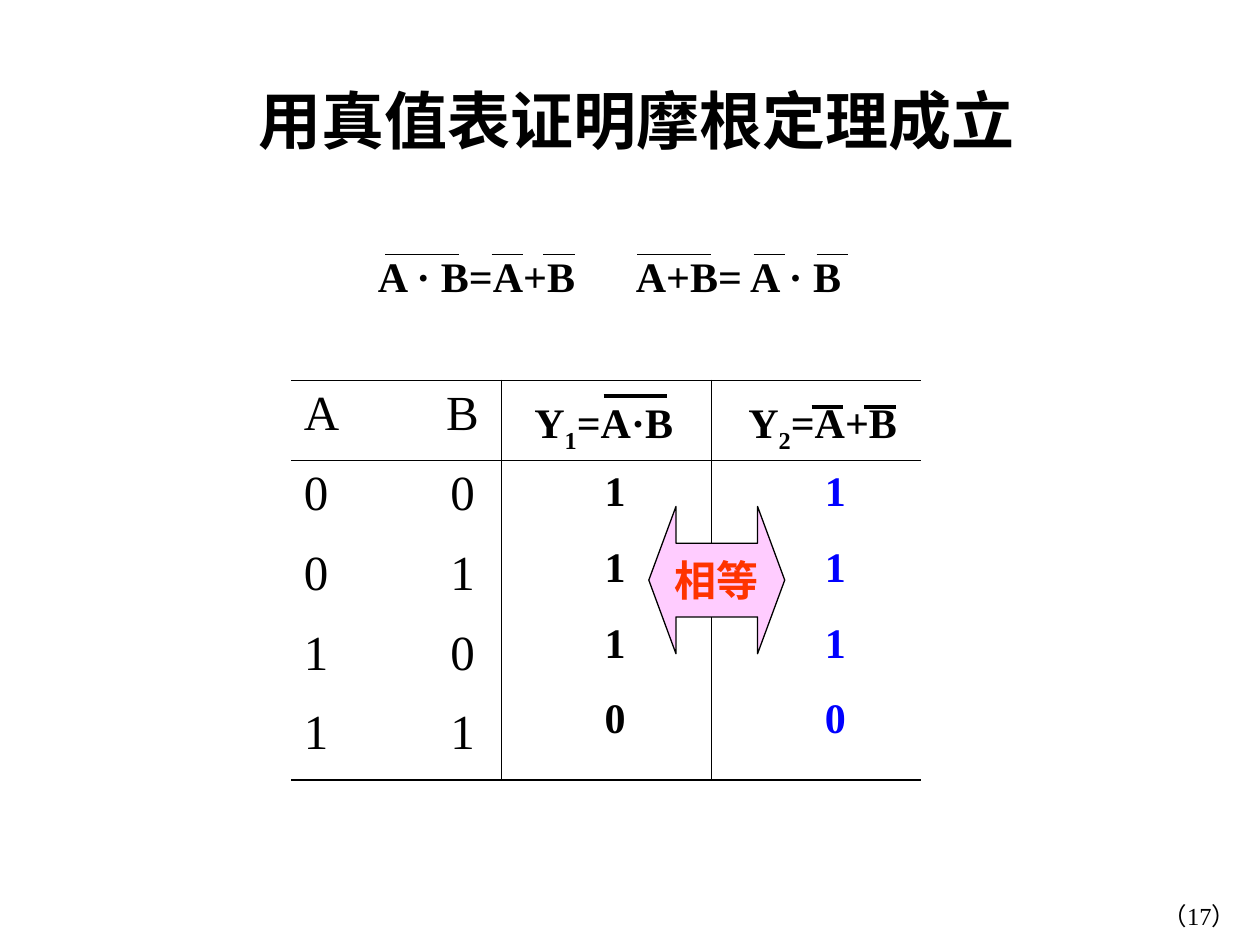
from dataclasses import dataclass

from lxml.etree import SubElement
from pptx import Presentation
from pptx.dml.color import RGBColor as Rgb
from pptx.enum.shapes import MSO_CONNECTOR as Link, MSO_SHAPE as Form
from pptx.enum.text import MSO_ANCHOR as Anchor, MSO_AUTO_SIZE as Fit, PP_ALIGN as Align
from pptx.oxml.ns import qn
from pptx.util import Cm, Pt


@dataclass(frozen=True)
class Theme:
    font: str = "Times New Roman"
    ink: str = "000000"
    blue: str = "0000FF"
    red: str = "FF3300"
    pink: str = "FFCCFF"
    head: int = 36
    cell: int = 28
    body: int = 24
    foot: int = 14
    thin: float = 0.45
    thick: float = 1.08


@dataclass(frozen=True)
class Label:
    box: tuple
    lines: list
    size: int = 24
    color: str = "000000"
    bold: bool = True
    align: Align = Align.CENTER
    space: float = 1.0
    wrap: bool = False
    tab: float = 0


@dataclass(frozen=True)
class Bar:
    left: float
    top: float
    width: float
    weight: float


LOOK = Theme()


def apply(item, form: dict) -> None:
    for name, value in form.items():
        setattr(item, name, value)


def add_tab(para, place: float, kind: str) -> None:
    stops = SubElement(para._p.get_or_add_pPr(), qn("a:tabLst"))
    SubElement(stops, qn("a:tab"), pos=str(Cm(place)), algn=kind)


def add_run(para, text: str, size: int, color: str, bold: bool, shift: int = 0) -> None:
    run = para.add_run()
    run.text = text
    apply(run.font, {"name": LOOK.font, "size": Pt(size), "bold": bold})
    run.font.color.rgb = Rgb.from_string(color)
    if shift:
        run._r.get_or_add_rPr().set("baseline", str(shift))


def write(frame, label: Label) -> None:
    for i, line in enumerate(label.lines):
        para = frame.add_paragraph() if i else frame.paragraphs[0]
        apply(para, {"alignment": label.align, "line_spacing": label.space})
        if label.tab:
            add_tab(para, label.tab, "l")
        for text, shift in line:
            add_run(para, text, label.size, label.color, label.bold, shift)


def add_label(slide, label: Label) -> None:
    frame = slide.shapes.add_textbox(*map(Cm, label.box)).text_frame
    apply(frame, {"word_wrap": label.wrap, "auto_size": Fit.SHAPE_TO_FIT_TEXT})
    write(frame, label)


def add_bar(slide, bar: Bar) -> None:
    ends = (bar.left, bar.top, bar.left + bar.width, bar.top)
    line = slide.shapes.add_connector(Link.STRAIGHT, *map(Cm, ends))
    line.line.width = Pt(bar.weight)
    line.line.color.rgb = Rgb.from_string(LOOK.ink)
    SubElement(line._element.spPr, qn("a:effectLst"))


def add_edge(cell, side: str, weight: float) -> None:
    edge = SubElement(cell._tc.get_or_add_tcPr(), qn(f"a:ln{side}"), w=str(Pt(weight)))
    if weight:
        fill = SubElement(edge, qn("a:solidFill"))
        SubElement(fill, qn("a:srgbClr"), val=LOOK.ink)
    else:
        SubElement(edge, qn("a:noFill"))


def add_grid(slide, pairs: list) -> None:
    count, wide, high = len(pairs), 4.23, 1.61
    area = (5.87, 7.67, wide * 3, high * count)
    grid = slide.shapes.add_table(count, 3, *map(Cm, area)).table
    apply(grid, {"first_row": False, "horz_banding": False})
    for col in grid.columns:
        col.width = Cm(wide)
    rules = [LOOK.thick, LOOK.thin] + [0] * (count - 2) + [LOOK.thick]
    for r, pair in enumerate(pairs):
        grid.rows[r].height = Cm(high)
        for c in range(3):
            cell = grid.cell(r, c)
            sides = {
                "L": LOOK.thin if c else 0,
                "R": LOOK.thin if c < 2 else 0,
                "T": rules[r],
                "B": rules[r + 1],
            }
            for side, weight in sides.items():
                add_edge(cell, side, weight)
            cell.fill.background()
        para = grid.cell(r, 0).text_frame.paragraphs[0]
        add_tab(para, 3.2, "ctr")
        add_run(para, "\t".join(pair), LOOK.cell, LOOK.ink, False)


def add_arrow(slide) -> None:
    box = (13.08, 10.21, 2.74, 2.97)
    arrow = slide.shapes.add_shape(Form.LEFT_RIGHT_ARROW, *map(Cm, box))
    arrow.shadow.inherit = False
    arrow.adjustments[0], arrow.adjustments[1] = 0.5, 0.2
    arrow.fill.solid()
    arrow.fill.fore_color.rgb = Rgb.from_string(LOOK.pink)
    arrow.line.color.rgb = Rgb.from_string(LOOK.ink)
    arrow.line.width = Pt(0.75)
    apply(arrow.text_frame, {"word_wrap": False, "vertical_anchor": Anchor.MIDDLE})
    write(arrow.text_frame, Label(box, [[("相等", 0)]], LOOK.body, LOOK.red))


def add_title(slide) -> None:
    title = slide.shapes.title
    box = (2.97, 1.37, 19.74, 2.06)
    apply(title, dict(zip(("left", "top", "width", "height"), map(Cm, box))))
    title.text_frame.vertical_anchor = Anchor.MIDDLE
    write(title.text_frame, Label(box, [[("用真值表证明摩根定理成立", 0)]], LOOK.head))


def main() -> None:
    deck = Presentation()
    apply(deck, {"slide_width": Cm(25.4), "slide_height": Cm(19.05)})
    slide = deck.slides.add_slide(deck.slide_layouts[5])
    add_title(slide)
    add_grid(slide, ["AB", "00", "01", "10", "11"])

    proof = [[(digit, 0)] for digit in "1110"]
    labels = [
        Label((19.89, 18.03, 5.28, 1.27), [[("（17）", 0)]], LOOK.foot,
              bold=False, align=Align.RIGHT, wrap=True),
        Label((7.37, 4.93, 10.03, 1.27), [[("A · B=A+B\tA+B= A · B", 0)]],
              align=Align.LEFT, wrap=True, tab=5.2),
        Label((10.52, 7.87, 3.3, 1.42), [[("Y", 0), ("1", -25000), ("=A·B", 0)]]),
        Label((14.83, 7.87, 3.51, 1.42), [[("Y", 0), ("2", -25000), ("=A+B", 0)]]),
        Label((11.94, 8.74, 0.91, 6.35), proof, space=1.5),
        Label((16.38, 8.74, 0.91, 6.35), proof, color=LOOK.blue, space=1.5),
    ]
    for label in labels:
        add_label(slide, label)

    bars = [Bar(x, 5.13, 1.49, 0.75) for x in (7.77, 12.85)]
    bars += [Bar(x, 5.13, 0.64, 0.75) for x in (9.91, 10.95, 15.19, 16.46)]
    bars += [Bar(12.17, 7.98, 1.27, 2.25)]
    bars += [Bar(x, 8.2, 0.64, 2.25) for x in (16.36, 17.42)]
    for bar in bars:
        add_bar(slide, bar)

    add_arrow(slide)
    deck.save("out.pptx")


if __name__ == "__main__":
    main()
